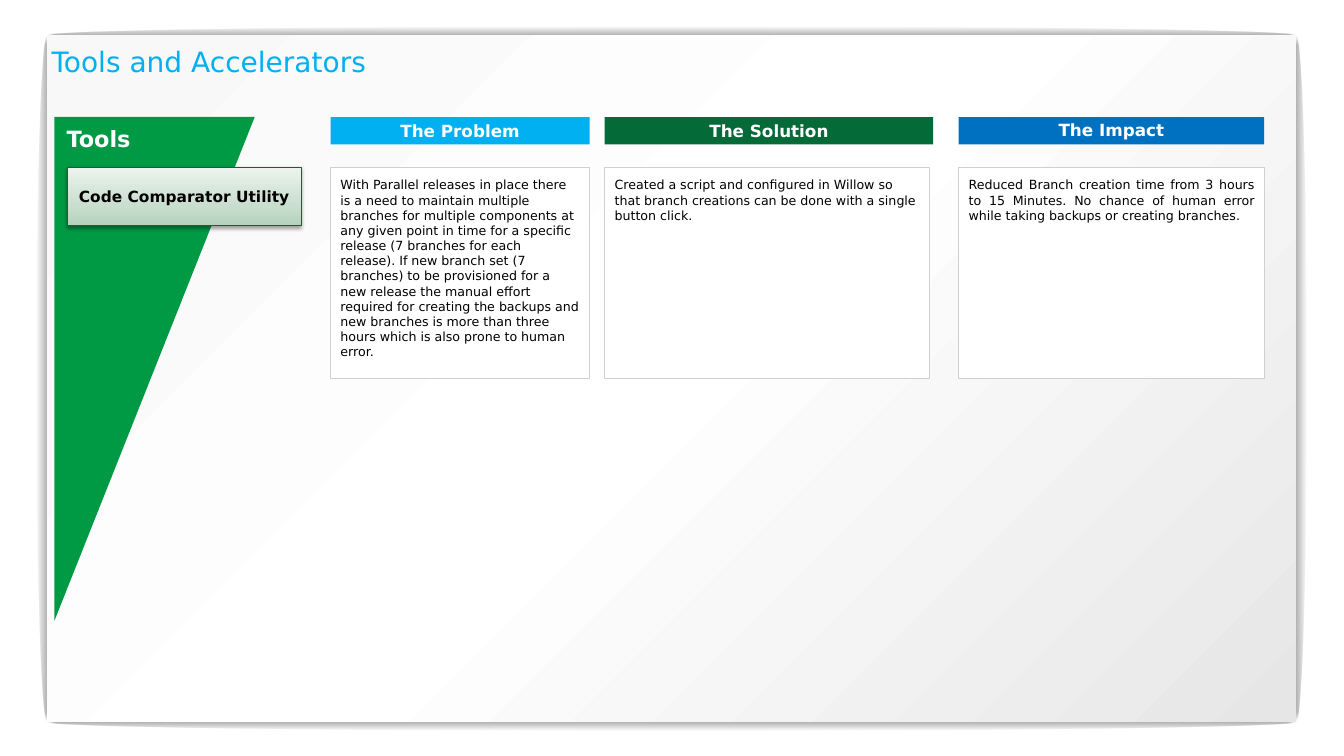
from lxml import etree
from pptx import Presentation
from pptx import util as u
from pptx.dml.color import RGBColor
from pptx.enum import shapes, text
from pptx.oxml.ns import nsdecls, qn

FONT = "DejaVu Sans"
COLORS = {
    "black": "000000", "white": "FFFFFF", "sky": "00B0F0", "forest": "046A38",
    "blue": "0070C0", "green": "009A44", "box_line": "D0D0CE", "tool_line": "016A37",
    "tool_dark": "B2D2BA", "tool_mid": "CADECF", "tool_light": "EBF3ED",
    "panel_dark": "E6E6E6", "panel_light": "F8F8F8",
}
RADIAL = ('<a:path path="shape"><a:fillToRect l="50000" t="50000" '
          'r="50000" b="50000"/></a:path>')
KIND = shapes.MSO_SHAPE
ALIGN = text.PP_ALIGN

deck = Presentation()
deck.slide_width, deck.slide_height = u.Cm(33.87), u.Cm(19.05)
slide = deck.slides.add_slide(deck.slide_layouts[5])


def add_block(kind, box, fill, line=None):
    """Add a shadowless shape; fill is a colour name or (stops, direction XML)."""
    block = slide.shapes.add_shape(kind, *(u.Cm(n) for n in box))
    block.shadow.inherit = False
    if line:
        block.line.color.rgb = RGBColor.from_string(COLORS[line])
        block.line.width = u.Pt(0.75)
    else:
        block.line.fill.background()
    if isinstance(fill, str):
        block.fill.solid()
        block.fill.fore_color.rgb = RGBColor.from_string(COLORS[fill])
    else:
        stops, direction = fill
        stops_xml = "".join(
            f'<a:gs pos="{pos * 1000}"><a:srgbClr val="{COLORS[color]}">'
            f'<a:alpha val="{alpha * 1000}"/></a:srgbClr></a:gs>'
            for pos, color, alpha in stops)
        block.fill.background()
        properties = block._element.spPr
        properties.replace(properties.find(qn("a:noFill")), etree.fromstring(
            f'<a:gradFill {nsdecls("a")} rotWithShape="1"><a:gsLst>{stops_xml}</a:gsLst>'
            f'{direction}</a:gradFill>'))
    return block


def write(shape, words, size, color, bold=False, align=ALIGN.LEFT, spacing=None,
          inset=0.25, anchor=text.MSO_ANCHOR.TOP, wrap=True):
    frame = shape.text_frame
    frame.text = words
    paragraph = frame.paragraphs[0]
    margins = {f"margin_{side}": u.Cm(inset) for side in ("left", "top", "right", "bottom")}
    formats = [
        (frame, {"word_wrap": wrap, "vertical_anchor": anchor,
                 "auto_size": text.MSO_AUTO_SIZE.NONE, **margins}),
        (paragraph, {"alignment": align, "line_spacing": spacing}),
        (paragraph.runs[0].font, {"name": FONT, "size": u.Pt(size), "bold": bold}),
    ]
    for target, values in formats:
        for name, value in values.items():
            setattr(target, name, value)
    paragraph.runs[0].font.color.rgb = RGBColor.from_string(COLORS[color])


# Panel with soft shadows centred on its four edges
left, top, width, height = 1.19, 0.89, 31.47, 17.3
thin, thick = 0.41, 0.53
edge_fill = ([(0, "black", 30), (100, "black", 0)], RADIAL)
for edge_y in (top + height, top):
    add_block(KIND.OVAL, (left, edge_y - thin / 2, width, thin), edge_fill)
for edge_x in (left + width, left):
    add_block(KIND.OVAL, (edge_x - thick / 2, top, thick, height), edge_fill)
add_block(KIND.RECTANGLE, (left, top, width, height),
          ([(0, "panel_dark", 100), (50, "white", 100), (100, "panel_light", 100)],
           '<a:lin ang="13500000" scaled="0"/>'))

# Title, brought in front of the panel
title = slide.shapes.title
title.left, title.top, title.width, title.height = (u.Cm(n) for n in (1.3, 1.12, 31.27, 0.94))
write(title, "Tools and Accelerators", 20, "sky", inset=0)
slide.shapes._spTree.append(title._element)

# Columns: heading, heading colour, left, heading width, box width, alignment, spacing, story
header_top, box_top = 2.95, 4.22
columns = [
    ("The Problem", "sky", 8.33, 6.53, 6.53, ALIGN.LEFT, None,
     "With Parallel releases in place there is a need to maintain multiple branches for "
     "multiple components at any given point in time for a specific release (7 branches for "
     "each release). If new branch set (7 branches) to be provisioned for a new release the "
     "manual effort required for creating the backups and new branches is more than three "
     "hours which is also prone to human error."),
    ("The Solution", "forest", 15.24, 8.28, 8.18, ALIGN.LEFT, None,
     "Created a script and configured in Willow so that branch creations can be done with a "
     "single button click."),
    ("The Impact", "blue", 24.16, 7.7, 7.7, ALIGN.JUSTIFY, 0.95,
     "Reduced Branch creation time from 3 hours to 15 Minutes. No chance of human error while "
     "taking backups or creating branches."),
]
for heading, color, column_left, header_width, box_width, align, spacing, story in columns:
    header = add_block(KIND.RECTANGLE, (column_left, header_top, header_width, 0.69), color)
    write(header, heading, 12, "white", bold=True, align=ALIGN.CENTER, spacing=spacing,
          anchor=text.MSO_ANCHOR.MIDDLE, wrap=False)
    story_box = add_block(KIND.RECTANGLE, (column_left, box_top, box_width, 5.31),
                          "white", "box_line")
    write(story_box, story, 9, "black", align=align)

# Tools wedge and its one tool
wedge = add_block(KIND.RIGHT_TRIANGLE, (1.37, header_top, 5.05, 12.7), "green")
wedge._element.spPr.find(qn("a:xfrm")).set("flipV", "1")

tools_label = slide.shapes.add_textbox(*(u.Cm(n) for n in (1.68, 3.2, 3.81, 0.66)))
write(tools_label, "Tools", 16, "white", bold=True, spacing=0.95, inset=0)

tool = add_block(KIND.RECTANGLE, (1.7, box_top, 5.89, 1.47),
                 ([(0, "tool_dark", 100), (35, "tool_mid", 100), (100, "tool_light", 100)],
                  '<a:lin ang="16200000" scaled="0"/>'), "tool_line")
write(tool, "Code Comparator Utility", 11, "black", bold=True, align=ALIGN.CENTER,
      anchor=text.MSO_ANCHOR.MIDDLE)
tool._element.spPr.find(qn("a:effectLst")).append(etree.fromstring(
    f'<a:outerShdw {nsdecls("a")} blurRad="{u.Pt(3.1)}" dist="{u.Pt(1.6)}" dir="5400000" '
    f'rotWithShape="0"><a:srgbClr val="{COLORS["black"]}"><a:alpha val="38000"/></a:srgbClr>'
    '</a:outerShdw>'))

deck.save("out.pptx")
